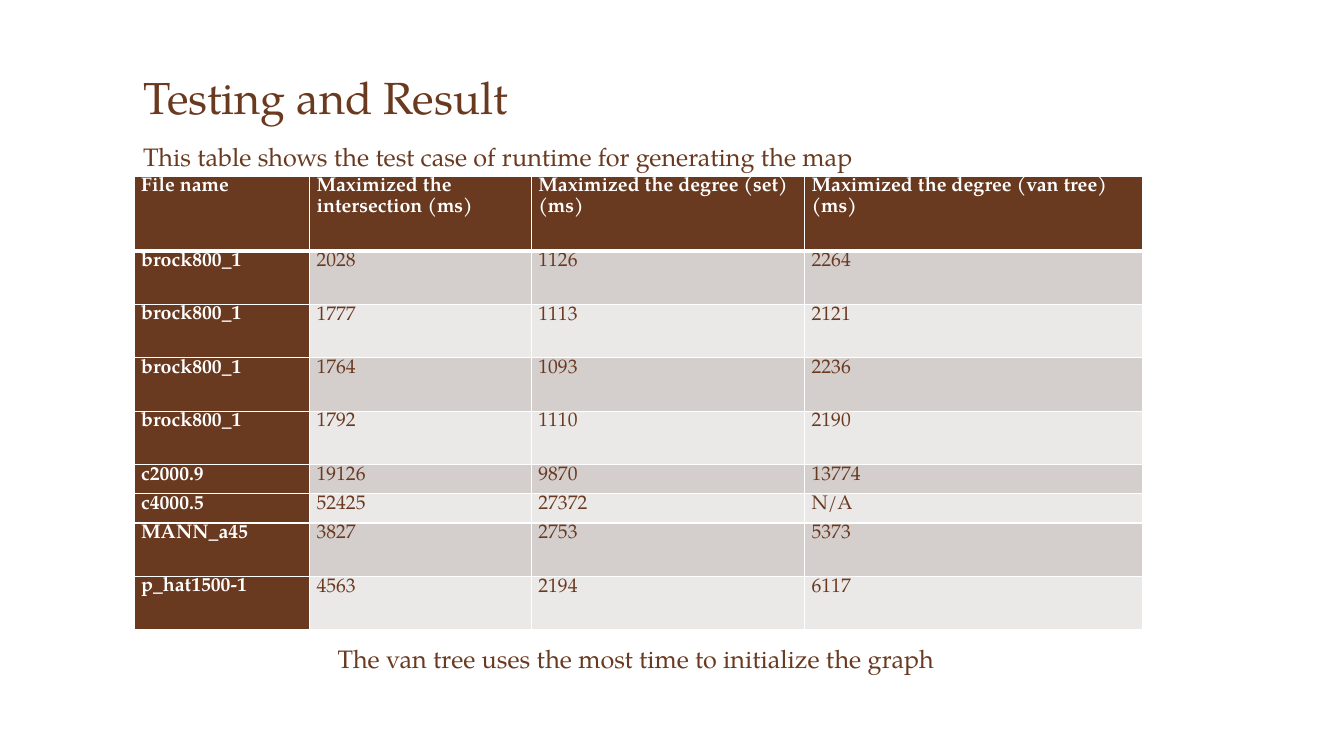
"""Build the slide with the runtime table for generating the map."""
from lxml.etree import SubElement
from pptx import Presentation
from pptx.dml.color import RGBColor
from pptx.enum.text import MSO_ANCHOR
from pptx.oxml.ns import qn
from pptx.util import Inches, Pt

FONT = "TeX Gyre Pagella"
COLORS = {"brown": "6A3A20", "white": "FFFFFF", "dark_band": "D4CECD", "light_band": "EBE8E8"}
LEFT, TABLE_TOP = 1.33, 1.75
COLUMN_WIDTHS = [1.74, 2.2, 2.71, 3.35]
TALL, SHORT = 0.53, 0.29
ROW_HEIGHTS = [0.74] + [TALL] * 4 + [SHORT] * 2 + [TALL] * 2
ROWS = [
    ["File name", "Maximized the intersection (ms)", "Maximized the degree (set) (ms)",
     "Maximized the degree (van tree) (ms)"],
    ["brock800_1", "2028", "1126", "2264"],
    ["brock800_1", "1777", "1113", "2121"],
    ["brock800_1", "1764", "1093", "2236"],
    ["brock800_1", "1792", "1110", "2190"],
    ["c2000.9", "19126", "9870", "13774"],
    ["c4000.5", "52425", "27372", "N/A"],
    ["MANN_a45", "3827", "2753", "5373"],
    ["p_hat1500-1", "4563", "2194", "6117"],
]
TEXTS = [
    ("Testing and Result", 32, (LEFT, 0.47, 10.66, 1.28)),
    ("This table shows the test case of runtime for generating the map", 18, (1.32, 1.35, 8.42, 0.4)),
    ("The van tree uses the most time to initialize the graph", 18, (3.25, 6.33, 8.42, 0.4)),
]


def write(text_frame, text, size, color, bold=False):
    text_frame.text = text
    text_frame.word_wrap = True
    font = text_frame.paragraphs[0].runs[0].font
    font.name, font.size, font.bold = FONT, Pt(size), bold
    font.color.rgb = RGBColor.from_string(COLORS[color])


def add_border(cell, side, width):
    line = SubElement(cell._tc.get_or_add_tcPr(), qn(f"a:{side}"), w=str(Pt(width)))
    fill = SubElement(line, qn("a:solidFill"))
    SubElement(fill, qn("a:srgbClr"), val=COLORS["white"])


presentation = Presentation()
presentation.slide_width, presentation.slide_height = Inches(13.33), Inches(7.5)
slide = presentation.slides.add_slide(presentation.slide_layouts[6])

text_boxes = []
for text, size, place in TEXTS:
    text_box = slide.shapes.add_textbox(*map(Inches, place))
    write(text_box.text_frame, text, size, "brown")
    text_boxes.append(text_box)

title_frame = text_boxes[0].text_frame
title_frame.vertical_anchor = MSO_ANCHOR.BOTTOM
title_frame.margin_bottom = Inches(0.53)

table = slide.shapes.add_table(
    len(ROWS), len(COLUMN_WIDTHS), Inches(LEFT), Inches(TABLE_TOP),
    Inches(sum(COLUMN_WIDTHS)), Inches(sum(ROW_HEIGHTS))).table
table.first_col = True
for column, width in zip(table.columns, COLUMN_WIDTHS):
    column.width = Inches(width)

for row_index, values in enumerate(ROWS):
    table.rows[row_index].height = Inches(ROW_HEIGHTS[row_index])
    band = "dark_band" if row_index % 2 else "light_band"
    top_width = 3 if row_index == 1 else 1
    bottom_width = 3 if row_index == 0 else 1
    for column_index, value in enumerate(values):
        cell = table.cell(row_index, column_index)
        heading = row_index == 0 or column_index == 0
        write(cell.text_frame, value, 14, "white" if heading else "brown", heading)
        cell.text_frame.paragraphs[0].line_spacing = 1.07
        cell.margin_left = cell.margin_right = Inches(0.07)
        cell.margin_top = cell.margin_bottom = 0
        for side, width in zip(("lnL", "lnR", "lnT", "lnB"), (1, 1, top_width, bottom_width)):
            add_border(cell, side, width)
        cell.fill.solid()
        cell.fill.fore_color.rgb = RGBColor.from_string(COLORS["brown" if heading else band])

presentation.save("out.pptx")
